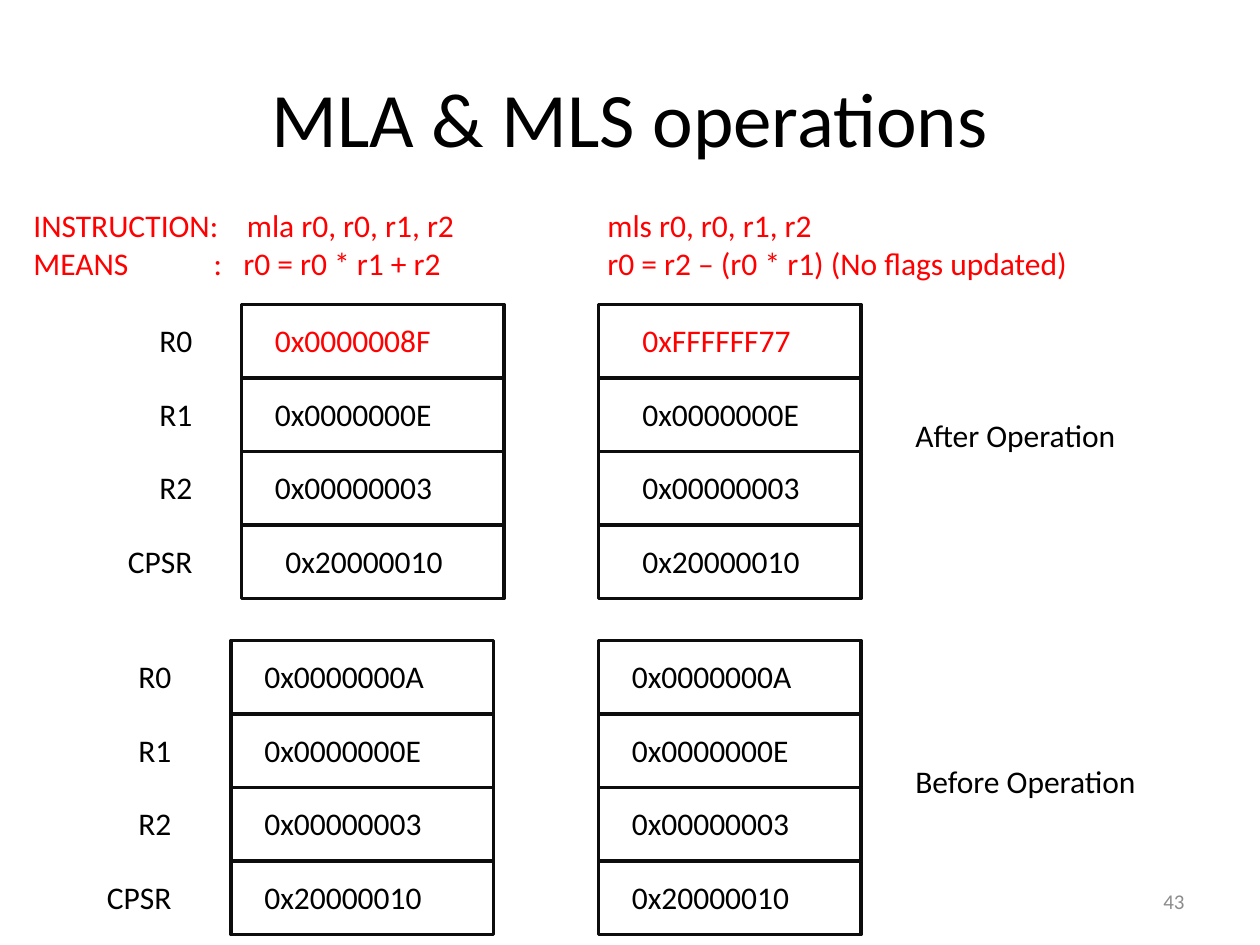
from lxml.etree import SubElement
from pptx import Presentation
from pptx.dml.color import RGBColor
from pptx.enum.shapes import MSO_SHAPE
from pptx.enum.text import MSO_ANCHOR, MSO_AUTO_SIZE, PP_ALIGN
from pptx.oxml.ns import qn
from pptx.util import Pt

COLORS = {"text": "000000", "accent": "FF0000", "line": "0D0D0D", "number": "8C8C8C"}
REGISTERS = ["R0", "R1", "R2", "CPSR"]
ROW_HEIGHT = 42
BOX_WIDTH = 150


class SlideBuilder:
    font_name = "Calibri"
    body_size = 18

    def __init__(self, slide):
        self.slide = slide

    def color(self, name):
        return RGBColor.from_string(COLORS[name])

    def format_text(self, text_frame, size, color, align):
        for paragraph in text_frame.paragraphs:
            paragraph.alignment = align
            for run in paragraph.runs:
                run.font.name = self.font_name
                run.font.size = Pt(size)
                run.font.color.rgb = self.color(color)

    def title(self, text, left, top, width, height):
        shape = self.slide.shapes.title
        shape.left, shape.top = Pt(left), Pt(top)
        shape.width, shape.height = Pt(width), Pt(height)
        shape.text_frame.text = text
        shape.text_frame.vertical_anchor = MSO_ANCHOR.MIDDLE
        self.format_text(shape.text_frame, 44, "text", PP_ALIGN.CENTER)

    def text(self, text, left, top, width, height=29, color="text", size=body_size,
             align=PP_ALIGN.LEFT, anchor=MSO_ANCHOR.TOP):
        shape = self.slide.shapes.add_textbox(Pt(left), Pt(top), Pt(width), Pt(height))
        text_frame = shape.text_frame
        text_frame.word_wrap = True
        text_frame.auto_size = MSO_AUTO_SIZE.SHAPE_TO_FIT_TEXT
        text_frame.vertical_anchor = anchor
        text_frame.text = text
        self.format_text(text_frame, size, color, align)
        return text_frame

    def tab_stops(self, paragraph, positions):
        tab_list = SubElement(paragraph._p.get_or_add_pPr(), qn("a:tabLst"))
        for position in positions:
            SubElement(tab_list, qn("a:tab"), pos=str(Pt(position)), algn="l")

    def box(self, left, top):
        shape = self.slide.shapes.add_shape(
            MSO_SHAPE.RECTANGLE, Pt(left), Pt(top), Pt(BOX_WIDTH), Pt(ROW_HEIGHT))
        shape.shadow.inherit = False
        shape.fill.background()
        shape.line.color.rgb = self.color("line")
        shape.line.width = Pt(2)

    def register_labels(self, right, top):
        for row, name in enumerate(REGISTERS):
            width = 54 if name == "CPSR" else 36
            self.text(name, right - width, top + 6 + row * ROW_HEIGHT, width)

    def register_column(self, left, top, values, indents, first_color):
        for row, (value, indent) in enumerate(zip(values, indents)):
            row_top = top + row * ROW_HEIGHT
            color = "text" if row else first_color
            self.box(left, row_top)
            self.text(value, left + indent, row_top + 6, 120, color=color)


def main():
    presentation = Presentation()
    presentation.slide_width, presentation.slide_height = Pt(720), Pt(540)
    slide = presentation.slides.add_slide(presentation.slide_layouts[5])
    builder = SlideBuilder(slide)

    builder.title("MLA & MLS operations", 36, 21.6, 648, 90)
    header = builder.text(
        "INSTRUCTION:\tmla r0, r0, r1, r2\tmls r0, r0, r1, r2\n"
        "MEANS\t:\tr0 = r0 * r1 + r2\tr0 = r2 – (r0 * r1) (No flags updated)",
        12, 114, 672, 51, color="accent")
    for paragraph, positions in zip(header.paragraphs, [(122, 328), (103, 120, 328)]):
        builder.tab_stops(paragraph, positions)

    unchanged = ["0x0000000E", "0x00000003", "0x20000010"]
    after_top, before_top = 174, 366
    columns = [
        (138, after_top, "0x0000008F", (12, 12, 12, 18), "accent"),
        (342, after_top, "0xFFFFFF77", (18,) * 4, "accent"),
        (132, before_top, "0x0000000A", (12,) * 4, "text"),
        (342, before_top, "0x0000000A", (12,) * 4, "text"),
    ]
    for left, top, result, indents, color in columns:
        builder.register_column(left, top, [result] + unchanged, indents, color)

    builder.register_labels(120, after_top)
    builder.register_labels(108, before_top)
    builder.text("After Operation", 516, 234, 186)
    builder.text("Before Operation", 516, 432, 186)
    builder.text("43", 516, 500.4, 168, color="number", size=12,
                 align=PP_ALIGN.RIGHT, anchor=MSO_ANCHOR.MIDDLE).auto_size = MSO_AUTO_SIZE.NONE

    presentation.save("out.pptx")


if __name__ == "__main__":
    main()
